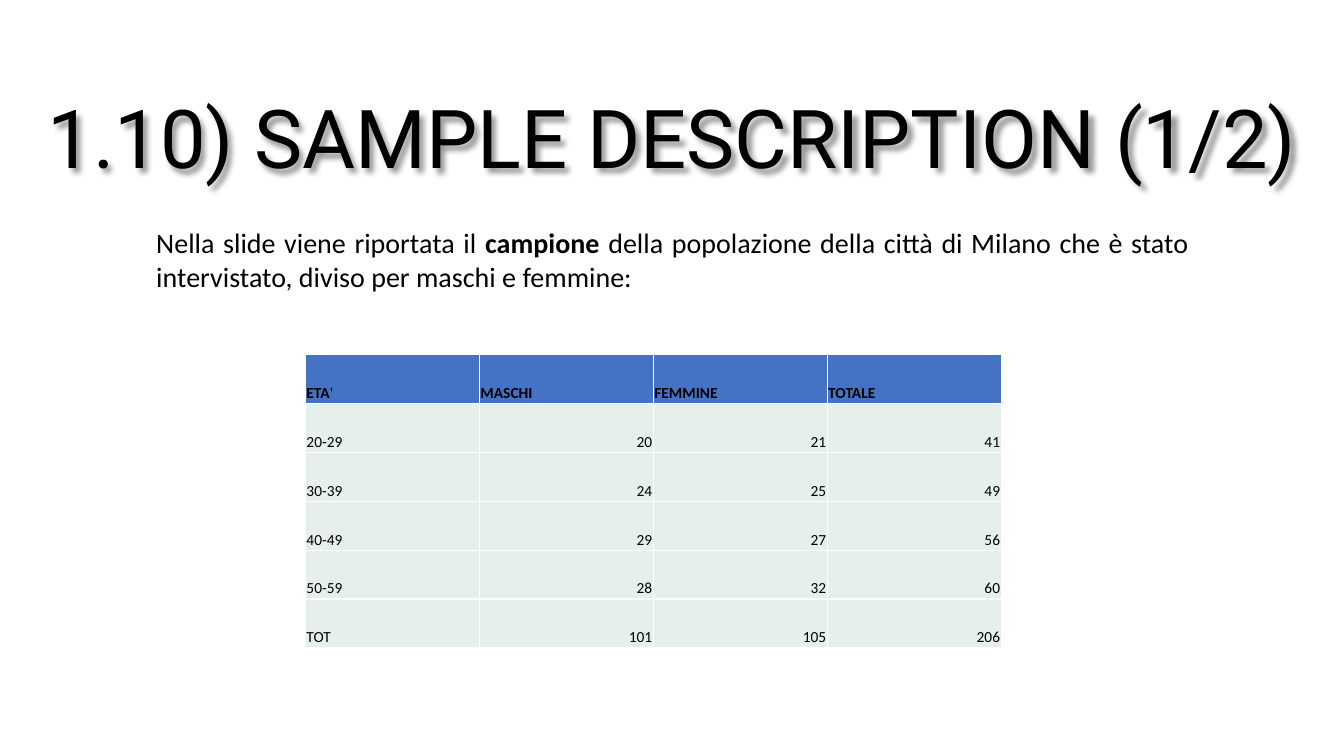
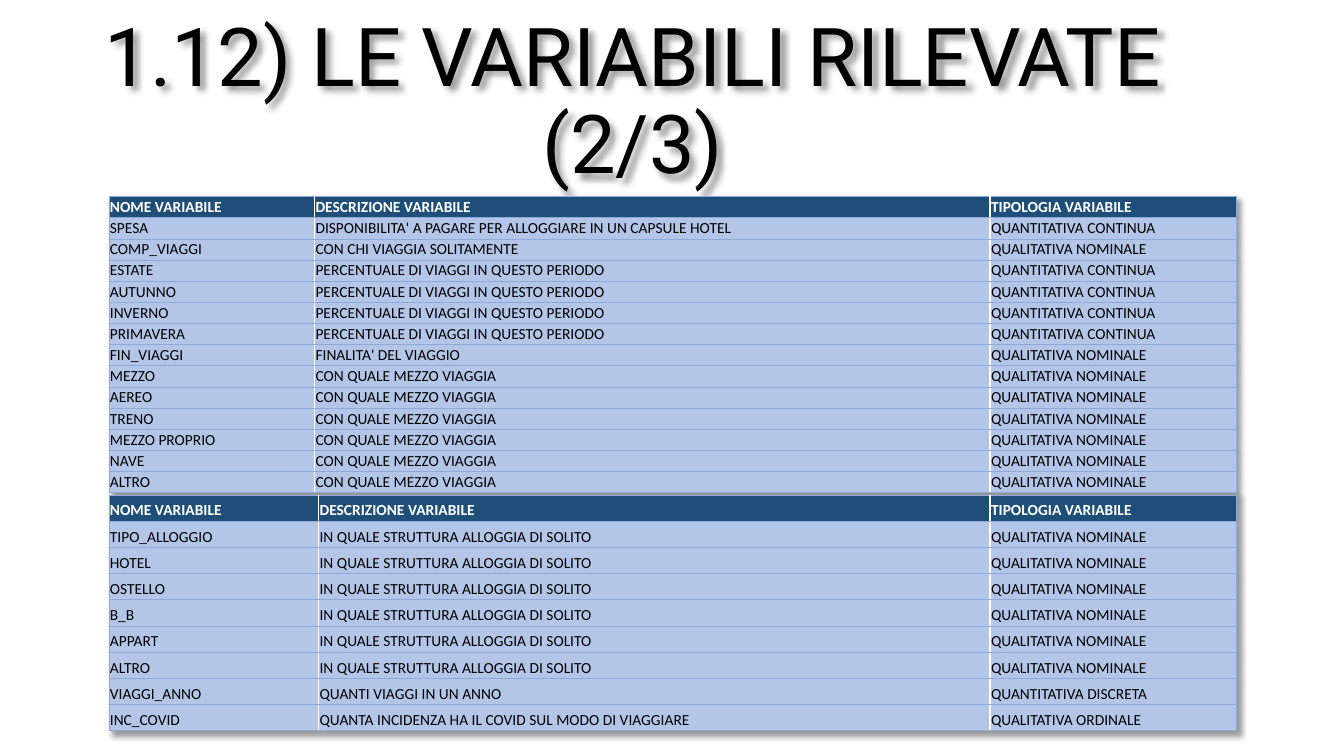
from lxml.etree import SubElement
from pptx import Presentation
from pptx.dml.color import RGBColor
from pptx.enum.text import MSO_ANCHOR, MSO_AUTO_SIZE, PP_ALIGN
from pptx.oxml import parse_xml
from pptx.oxml.ns import nsdecls, qn
from pptx.util import Inches, Pt

BLACK, WHITE = "000000", "FFFFFF"
BLUE, MINT = "4472C4", "E7EFEB"
NAVY, SKY, RULE = "1F4E78", "B4C6E7", "8EA9DB"
SHADOW = (
    f'<a:effectLst {nsdecls("a")}><a:outerShdw blurRad="50800" dist="50800" '
    'dir="2700000" algn="tl" rotWithShape="0"><a:srgbClr val="000000">'
    '<a:alpha val="40000"/></a:srgbClr></a:outerShdw></a:effectLst>'
)


def rgb(value):
    return RGBColor.from_string(value)


def add_grid(slide, left, top, widths, row_height, rows, header, body, rule):
    header_fill, header_color = header
    grid = slide.shapes.add_table(
        len(rows), len(widths), Inches(left), Inches(top),
        Inches(sum(widths)), Inches(row_height * len(rows)),
    ).table
    grid.horz_banding = False
    for column, width in zip(grid.columns, widths):
        column.width = Inches(width)
    for r, values in enumerate(rows):
        grid.rows[r].height = Inches(row_height)
        for c, value in enumerate(values):
            cell = grid.cell(r, c)
            cell.text = value
            cell.vertical_anchor = MSO_ANCHOR.BOTTOM
            cell.margin_left = cell.margin_right = Inches(0.01)
            cell.margin_top = cell.margin_bottom = Inches(0.01)
            paragraph = cell.text_frame.paragraphs[0]
            paragraph.alignment = PP_ALIGN.RIGHT if value.isdigit() else PP_ALIGN.LEFT
            paragraph.font.name = "Calibri"
            paragraph.font.size = Pt(11)
            paragraph.font.bold = r == 0
            paragraph.font.color.rgb = rgb(header_color if r == 0 else BLACK)
            properties = cell._tc.get_or_add_tcPr()
            edges = {
                "lnL": rule if c == 0 else WHITE,
                "lnR": rule if c == len(widths) - 1 else WHITE,
                "lnT": rule,
                "lnB": rule,
            }
            for edge, color in edges.items():
                width = Pt(1) if color == WHITE else Pt(0.5)
                line = SubElement(properties, qn(f"a:{edge}"), w=str(width))
                fill = SubElement(line, qn("a:solidFill"))
                SubElement(fill, qn("a:srgbClr"), val=color)
            cell.fill.solid()
            cell.fill.fore_color.rgb = rgb(header_fill if r == 0 else body)
    return grid


presentation = Presentation()
presentation.slide_width = Inches(13.33)
presentation.slide_height = Inches(7.5)

headings = [
    ("1.10) SAMPLE DESCRIPTION (1/2)", 0.18, 0.07, 12.97, 1.83),
    ("1.12) LE VARIABILI RILEVATE (2/3)", 0.77, 0.94, 11.01, 1.01),
]
slides = []
for heading, left, top, width, height in headings:
    slide = presentation.slides.add_slide(presentation.slide_layouts[5])
    title = slide.shapes.title
    title.left, title.top = Inches(left), Inches(top)
    title.width, title.height = Inches(width), Inches(height)
    frame = title.text_frame
    frame.text = heading
    frame.auto_size = MSO_AUTO_SIZE.NONE
    frame.word_wrap = True
    frame.vertical_anchor = MSO_ANCHOR.BOTTOM
    frame.margin_left = frame.margin_right = Inches(0.05)
    frame.margin_top = frame.margin_bottom = Inches(0.05)
    paragraph = frame.paragraphs[0]
    paragraph.alignment = PP_ALIGN.CENTER
    paragraph.line_spacing = 0.9
    paragraph.font.name = "Roboto"
    paragraph.font.size = Pt(58)
    paragraph.font.color.rgb = rgb(BLACK)
    title._element.spPr.append(parse_xml(SHADOW))
    slides.append(slide)
sample_slide, variables_slide = slides

ages = [("20-29", 20, 21), ("30-39", 24, 25), ("40-49", 29, 27), ("50-59", 28, 32)]
ages.append(("TOT", sum(age[1] for age in ages), sum(age[2] for age in ages)))
sample_rows = [("ETA", "MASCHI", "FEMMINE", "TOTALE")]
sample_rows += [(age, str(m), str(f), str(m + f)) for age, m, f in ages]
sample = add_grid(sample_slide, 3.03, 3.52, [1.725] * 4, 0.485, sample_rows,
                  (BLUE, BLACK), MINT, WHITE)
apostrophe = sample.cell(0, 0).text_frame.paragraphs[0].add_run()
apostrophe.text = "'"
apostrophe.font.bold = False

intro = sample_slide.shapes.add_textbox(Inches(1.5), Inches(2.19), Inches(10.34), Inches(0.77))
frame = intro.text_frame
frame.word_wrap = True
frame.auto_size = MSO_AUTO_SIZE.SHAPE_TO_FIT_TEXT
frame.margin_left = frame.margin_right = Inches(0.05)
frame.margin_top = frame.margin_bottom = Inches(0.05)
paragraph = frame.paragraphs[0]
paragraph.alignment = PP_ALIGN.JUSTIFY
paragraph.font.name = "Calibri"
paragraph.font.size = Pt(20)
paragraph.font.color.rgb = rgb(BLACK)
for text, bold in [
    ("Nella slide viene riportata il ", False),
    ("campione ", True),
    ("della popolazione della città di Milano che è stato intervistato, "
     "diviso per maschi e femmine:", False),
]:
    run = paragraph.add_run()
    run.text = text
    run.font.bold = bold

NOMINAL, CONTINUOUS = "QUALITATIVA NOMINALE", "QUANTITATIVA CONTINUA"
columns = ("NOME VARIABILE", "DESCRIZIONE VARIABILE", "TIPOLOGIA VARIABILE")
travel_rows = [
    columns,
    ("SPESA", "DISPONIBILITA' A PAGARE PER ALLOGGIARE IN UN CAPSULE HOTEL", CONTINUOUS),
    ("COMP_VIAGGI", "CON CHI VIAGGIA SOLITAMENTE", NOMINAL),
    *[(season, "PERCENTUALE DI VIAGGI IN QUESTO PERIODO", CONTINUOUS)
      for season in ("ESTATE", "AUTUNNO", "INVERNO", "PRIMAVERA")],
    ("FIN_VIAGGI", "FINALITA' DEL VIAGGIO", NOMINAL),
    *[(transport, "CON QUALE MEZZO VIAGGIA", NOMINAL)
      for transport in ("MEZZO", "AEREO", "TRENO", "MEZZO PROPRIO", "NAVE", "ALTRO")],
]
lodging_rows = [
    columns,
    *[(lodging, "IN QUALE STRUTTURA ALLOGGIA DI SOLITO", NOMINAL)
      for lodging in ("TIPO_ALLOGGIO", "HOTEL", "OSTELLO", "B_B", "APPART", "ALTRO")],
    ("VIAGGI_ANNO", "QUANTI VIAGGI IN UN ANNO", "QUANTITATIVA DISCRETA"),
    ("INC_COVID", "QUANTA INCIDENZA HA IL COVID SUL MODO DI VIAGGIARE",
     "QUALITATIVA ORDINALE"),
]
for top, widths, row_height, rows in [
    (1.95, [2.04, 6.7, 2.44], 0.21, travel_rows),
    (4.91, [2.08, 6.66, 2.44], 0.26, lodging_rows),
]:
    variables = add_grid(variables_slide, 1.08, top, widths, row_height, rows,
                         (NAVY, WHITE), SKY, RULE)
    variables._tbl.tblPr.insert(0, parse_xml(SHADOW))

presentation.save("out.pptx")
